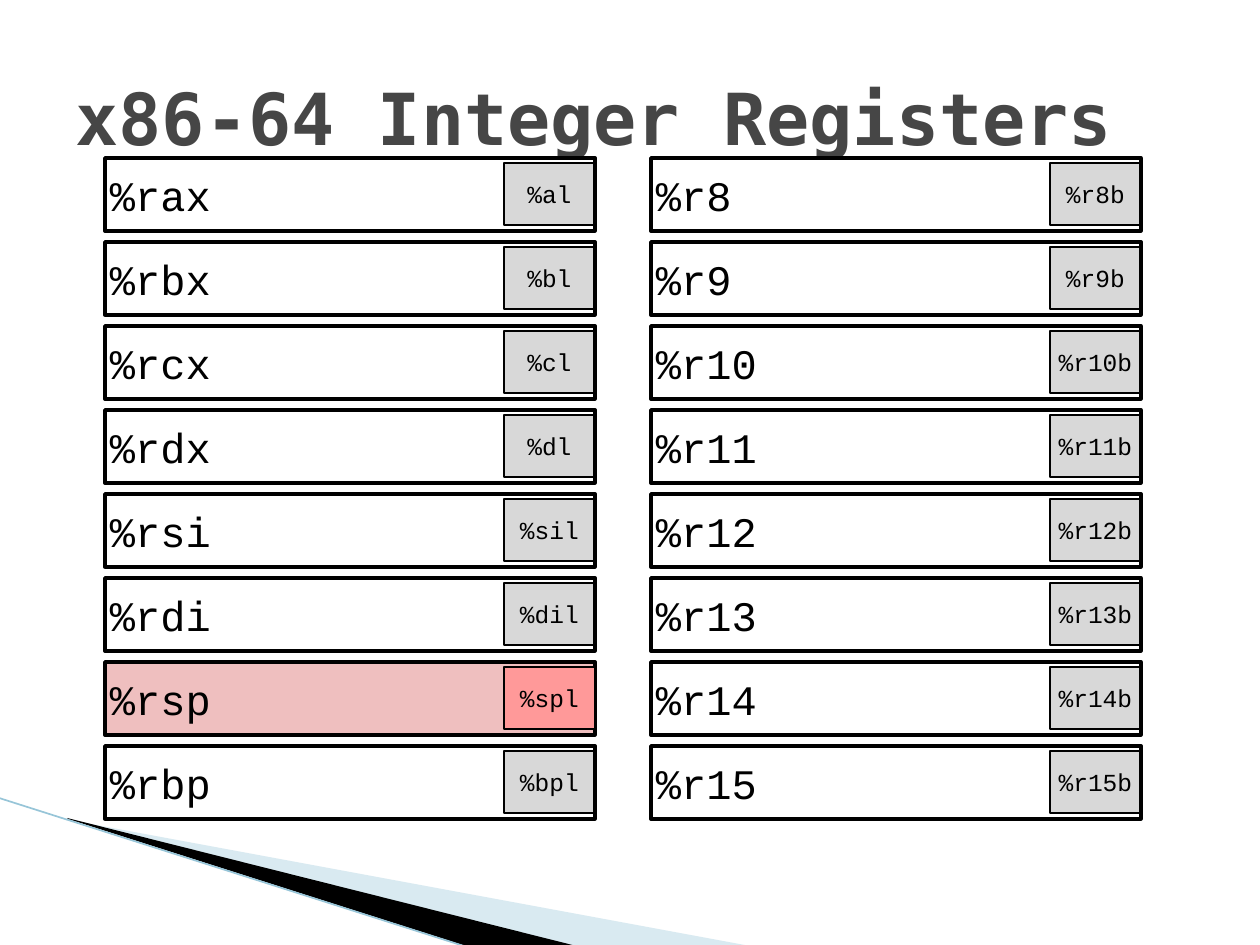
from lxml import etree
from pptx import Presentation
from pptx.dml.color import RGBColor
from pptx.enum.shapes import MSO_CONNECTOR, MSO_SHAPE
from pptx.enum.text import MSO_ANCHOR, MSO_AUTO_SIZE, PP_ALIGN
from pptx.oxml.ns import qn
from pptx.util import Pt

RECTANGLE = MSO_SHAPE.RECTANGLE
STRAIGHT = MSO_CONNECTOR.STRAIGHT
MIDDLE = MSO_ANCHOR.MIDDLE
NO_AUTOFIT = MSO_AUTO_SIZE.NONE
LEFT, CENTER = PP_ALIGN.LEFT, PP_ALIGN.CENTER

BLACK = RGBColor(0x00, 0x00, 0x00)
TITLE_GRAY = RGBColor(0x46, 0x46, 0x46)
BADGE_GRAY = RGBColor(0xD8, 0xD8, 0xD8)
STACK_PINK = RGBColor(0xEF, 0xBF, 0xBF)
STACK_RED = RGBColor(0xFF, 0x99, 0x99)
PALE_BLUE = RGBColor(0xA0, 0xCB, 0xDC)
LINE_BLUE = RGBColor(0x97, 0xC5, 0xD8)

EMU_PER_PIXEL = 914400 / 126
ROW_PITCH = 84
ROW_HEIGHT = 73
INSET = 5

LEGACY_REGISTERS = [
    ("%rax", "%al"), ("%rbx", "%bl"), ("%rcx", "%cl"), ("%rdx", "%dl"),
    ("%rsi", "%sil"), ("%rdi", "%dil"), ("%rsp", "%spl"), ("%rbp", "%bpl"),
]
NUMBERED_REGISTERS = [(f"%r{n}", f"%r{n}b") for n in range(8, 16)]
STACK_POINTER = "%rsp"


def px(pixels):
    return round(pixels * EMU_PER_PIXEL)


def write_text(frame, text, size, font="Courier New", color=BLACK, bold=False, align=LEFT):
    frame.word_wrap = True
    frame.vertical_anchor = MIDDLE
    paragraph = frame.paragraphs[0]
    paragraph.alignment = align
    run = paragraph.add_run()
    run.text = text
    run.font.name = font
    run.font.size = Pt(size)
    run.font.bold = bold
    run.font.color.rgb = color


def add_box(slide, left, top, width, height, text, size, fill=None, line_width=2, align=LEFT):
    shape = slide.shapes.add_shape(RECTANGLE, px(left), px(top), px(width), px(height))
    shape.shadow.inherit = False
    if fill is None:
        shape.fill.background()
    else:
        shape.fill.solid()
        shape.fill.fore_color.rgb = fill
    shape.line.color.rgb = BLACK
    shape.line.width = Pt(line_width)
    frame = shape.text_frame
    frame.margin_left = frame.margin_right = px(INSET)
    frame.margin_top = frame.margin_bottom = px(INSET)
    write_text(frame, text, size, align=align)


def add_register(slide, left, top, width, name, low_byte):
    badge = (left + width - 91, top + 5, 91, 62, low_byte, 14)
    if name == STACK_POINTER:
        add_box(slide, left, top, width, ROW_HEIGHT, name, 24, fill=STACK_PINK)
        add_box(slide, *badge, fill=STACK_RED, line_width=1, align=CENTER)
    else:
        add_box(slide, *badge, fill=BADGE_GRAY, line_width=0.75, align=CENTER)
        add_box(slide, left, top, width, ROW_HEIGHT, name, 24)


def add_register_column(slide, left, top, width, registers):
    for row, (name, low_byte) in enumerate(registers):
        add_register(slide, left, top + row * ROW_PITCH, width, name, low_byte)


def add_wedge(slide, left, top, points, color, opacity=100):
    corners = [(px(left + x), px(top + y)) for x, y in points]
    builder = slide.shapes.build_freeform(*corners[0])
    builder.add_line_segments(corners[1:], close=True)
    wedge = builder.convert_to_shape()
    wedge.shadow.inherit = False
    wedge.fill.solid()
    wedge.fill.fore_color.rgb = color
    wedge.line.fill.background()
    if opacity < 100:
        color_element = wedge.fill._xPr.find(qn("a:solidFill"))[0]
        etree.SubElement(color_element, qn("a:alpha"), val=str(opacity * 1000))


def add_corner_decoration(slide, left, top):
    pale_points = [(69, 22), (750, 148), (575, 148), (69, 21)]
    black_points = [(67, 20), (576, 148), (469, 149), (68, 21)]
    add_wedge(slide, left, top, pale_points, PALE_BLUE, opacity=40)
    add_wedge(slide, left, top, black_points, BLACK)
    edge = slide.shapes.add_connector(
        STRAIGHT, px(left - 1), px(top), px(left + 467), px(top + 149))
    edge.line.color.rgb = LINE_BLUE
    edge.line.width = Pt(0.95)
    etree.SubElement(edge._element.spPr, qn("a:effectLst"))


def place_title(slide, left, top, width, height, text):
    title = slide.shapes.title
    title.left, title.top = px(left), px(top)
    title.width, title.height = px(width), px(height)
    title.text_frame.auto_size = NO_AUTOFIT
    write_text(title.text_frame, text, 41, font="DejaVu Sans Mono",
               color=TITLE_GRAY, bold=True)


def build_registers_slide(presentation):
    slide = presentation.slides.add_slide(presentation.slide_layouts[5])
    add_corner_decoration(slide, 0, 798)
    place_title(slide, 63, 38, 1134, 158, "x86-64 Integer Registers")
    add_register_column(slide, 105, 158, 490, LEGACY_REGISTERS)
    add_register_column(slide, 651, 158, 490, NUMBERED_REGISTERS)


presentation = Presentation()
presentation.slide_width = px(1260)
presentation.slide_height = px(945)
build_registers_slide(presentation)
presentation.save("out.pptx")
